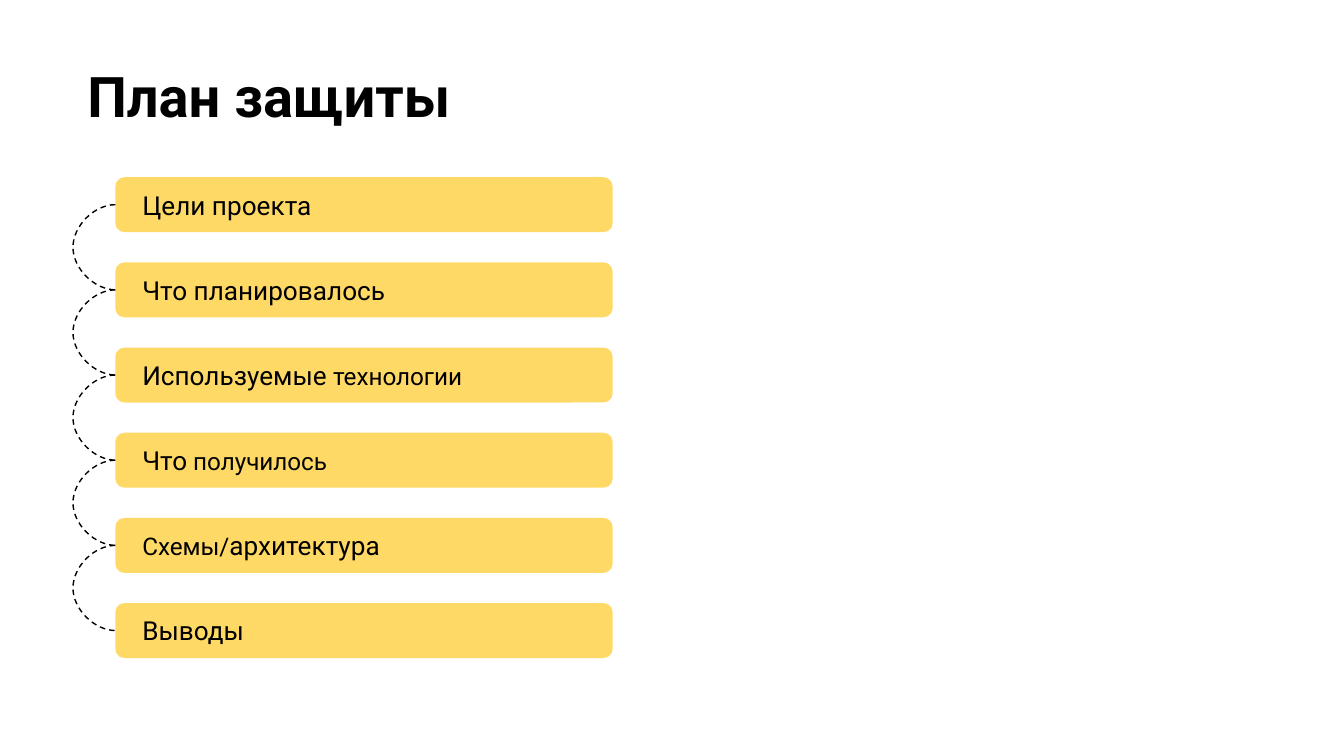
from lxml import etree
from pptx import Presentation
from pptx.dml.color import RGBColor
from pptx.enum.dml import MSO_LINE
from pptx.enum.shapes import MSO_CONNECTOR, MSO_SHAPE
from pptx.enum.text import MSO_ANCHOR, PP_ALIGN
from pptx.oxml.ns import qn
from pptx.util import Cm, Pt

ROUNDED = MSO_SHAPE.ROUNDED_RECTANGLE
CURVE = MSO_CONNECTOR.CURVE
DASH = MSO_LINE.DASH
TOP, MIDDLE = MSO_ANCHOR.TOP, MSO_ANCHOR.MIDDLE
LEFT = PP_ALIGN.LEFT

TITLE = "План защиты"
TOPICS = [
    [("Цели проекта", 14, "text")],
    [("Что планировалось", 14, "text")],
    [("Используемые", 14, "text"), (" технологии", 13, "text")],
    [("Что", 14, "text"), (" получилось", 13, "soft")],
    [("Схемы/", 13, "text"), ("архитектура", 14, "text")],
    [("Выводы", 14, "text")],
]
COLORS = {"text": "000000", "soft": "050505", "bar": "FFD966", "link": "000000"}
FONT = "Roboto"

BAR_LEFT, BAR_TOP, BAR_WIDTH, BAR_HEIGHT = 2.18, 3.35, 9.4, 1.04
BAR_PITCH = 1.61
LINK_WIDTH, LINK_REACH = 0.01, 0.8


def color(name):
    return RGBColor.from_string(COLORS[name])


def add_run(paragraph, text, size, color_name, bold=False):
    run = paragraph.add_run()
    run.text = text
    run.font.name = FONT
    run.font.size = Pt(size)
    run.font.bold = bold
    run.font.color.rgb = color(color_name)


def set_frame(frame, anchor, side, vertical):
    frame.word_wrap = True
    frame.vertical_anchor = anchor
    frame.margin_left = frame.margin_right = Cm(side)
    frame.margin_top = frame.margin_bottom = Cm(vertical)
    frame.paragraphs[0].alignment = LEFT
    return frame.paragraphs[0]


def add_bar(slide, row, topic):
    bar = slide.shapes.add_shape(ROUNDED, Cm(BAR_LEFT), Cm(BAR_TOP + row * BAR_PITCH),
                                 Cm(BAR_WIDTH), Cm(BAR_HEIGHT))
    bar.shadow.inherit = False
    bar.fill.solid()
    bar.fill.fore_color.rgb = color("bar")
    bar.line.fill.background()
    paragraph = set_frame(bar.text_frame, MIDDLE, 0.46, 0)
    for text, size, color_name in topic:
        add_run(paragraph, text, size, color_name)


def add_link(slide, row):
    start = BAR_TOP + BAR_HEIGHT / 2 + row * BAR_PITCH
    link = slide.shapes.add_connector(CURVE, Cm(BAR_LEFT), Cm(start),
                                      Cm(BAR_LEFT + LINK_WIDTH), Cm(start + BAR_PITCH))
    link.line.color.rgb = color("link")
    link.line.width = Pt(0.75)
    link.line.dash_style = DASH
    properties = link._element.spPr
    etree.SubElement(properties, qn("a:effectLst"))
    bend = properties.find(qn("a:prstGeom")).find(qn("a:avLst"))
    ratio = round(-LINK_REACH / LINK_WIDTH * 100000)
    etree.SubElement(bend, qn("a:gd"), name="adj1", fmla=f"val {ratio}")


def main():
    deck = Presentation()
    deck.slide_width, deck.slide_height = Cm(25.4), Cm(14.29)
    slide = deck.slides.add_slide(deck.slide_layouts[5])

    title = slide.shapes.title
    title.left, title.top, title.width, title.height = Cm(1.4), Cm(0.92), Cm(23.67), Cm(3.05)
    add_run(set_frame(title.text_frame, TOP, 0.25, 0.25), TITLE, 30, "text", True)

    for row, topic in enumerate(TOPICS):
        add_bar(slide, row, topic)
    for row in range(len(TOPICS) - 1):
        add_link(slide, row)

    deck.save("out.pptx")


if __name__ == "__main__":
    main()
